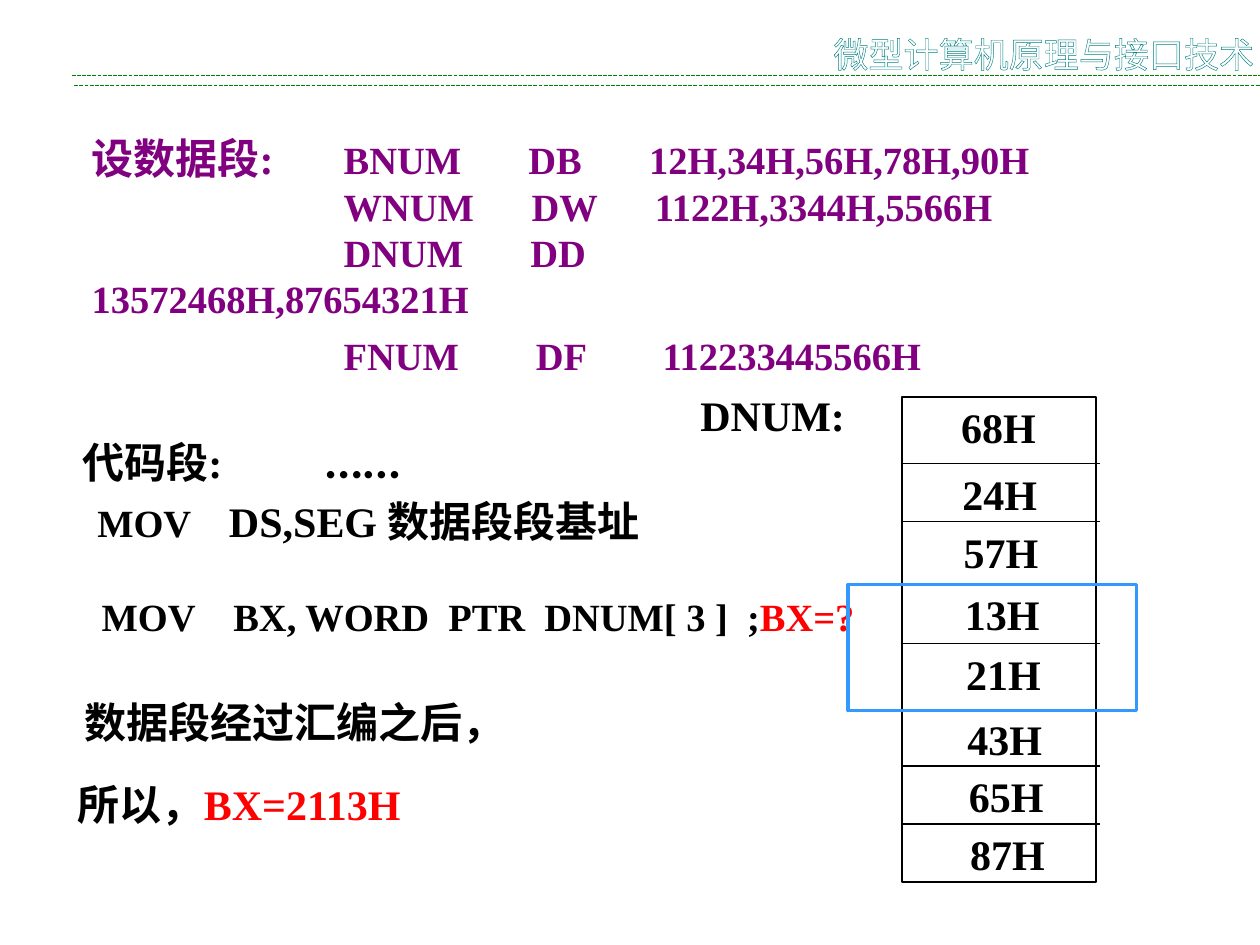
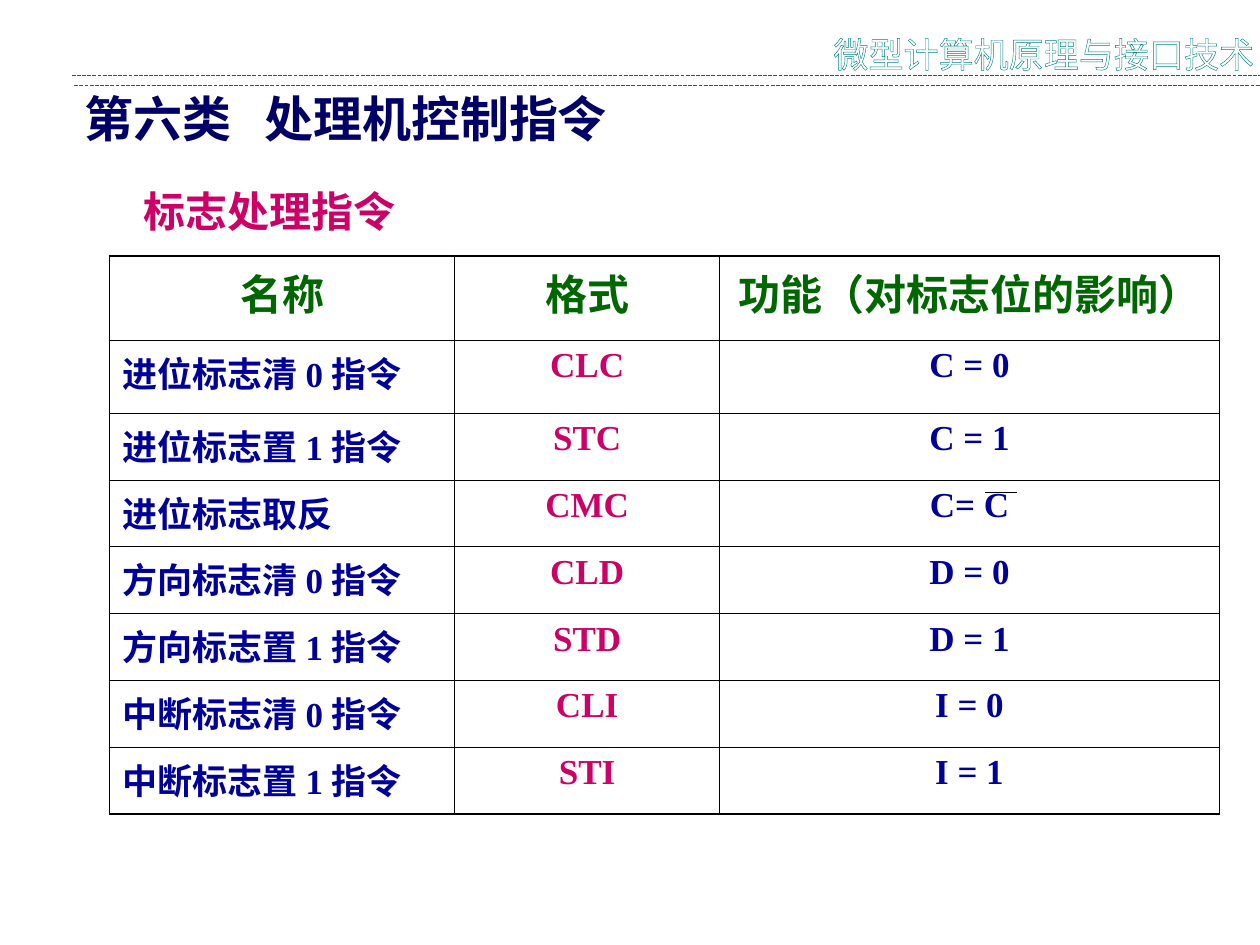
import pptx
import pptx.dml.color
import pptx.enum.dml
import pptx.enum.shapes
import pptx.enum.text
import pptx.oxml
import pptx.oxml.ns
import pptx.util
from pptx.util import Inches

LATIN, CJK = "Times New Roman", "Noto Sans CJK SC"
BLACK, WHITE, RED, PURPLE = "000000", "FFFFFF", "FF0000", "800080"
GREEN, TEAL, BRIGHT_BLUE = "008000", "008080", "3399FF"
NAVY, BLUE, MAGENTA, DARK_GREEN = "000066", "000099", "CC0066", "006600"
CENTER = pptx.enum.text.PP_ALIGN.CENTER
COURSE = "微型计算机原理与接口技术"

DATA_LINES = [
    "设数据段:\tBNUM       DB       12H,34H,56H,78H,90H",
    "\t\tWNUM      DW      1122H,3344H,5566H",
    "\t\tDNUM       DD       13572468H,87654321H",
    "\t\tFNUM        DF        112233445566H",
]
CODE_TABS = (1, 2)
MEMORY_BYTES = ["68H", "24H", "57H", "13H", "21H", "43H", "65H", "87H"]
MEMORY_EDGES = [0, 0.53, 0.99, 1.48, 1.96, 2.47, 2.93, 3.39]
FLAG_HEADER = ["名称", "格式", "功能（对标志位的影响）"]
FLAG_ROWS = [
    ["进位标志清 0 指令", "CLC", "C = 0"],
    ["进位标志置 1 指令", "STC", "C = 1"],
    ["进位标志取反", "CMC", "C= C"],
    ["方向标志清 0 指令", "CLD", "D = 0"],
    ["方向标志置 1 指令", "STD", "D = 1"],
    ["中断标志清 0 指令", "CLI", "I = 0"],
    ["中断标志置 1 指令", "STI", "I = 1"],
]


def rgb(value):
    return pptx.dml.color.RGBColor.from_string(value)


def line_xml(tag, color, points):
    return pptx.oxml.parse_xml(
        f'<a:{tag} {pptx.oxml.ns.nsdecls("a")} w="{int(points * 12700)}">'
        f'<a:solidFill><a:srgbClr val="{color}"/></a:solidFill></a:{tag}>')


def set_tabs(paragraph, positions):
    stops = "".join(f'<a:tab pos="{Inches(position)}" algn="l"/>'
                    for position in positions)
    paragraph._p.get_or_add_pPr().append(pptx.oxml.parse_xml(
        f'<a:tabLst {pptx.oxml.ns.nsdecls("a")}>{stops}</a:tabLst>'))


def format_run(run, size, color, bold=True, latin=LATIN):
    run.font.size = pptx.util.Pt(size)
    run.font.bold = bold
    run.font.name = latin
    run.font.color.rgb = rgb(color)
    east_asian = pptx.oxml.parse_xml(
        f'<a:ea {pptx.oxml.ns.nsdecls("a")} typeface="{CJK}"/>')
    run.font._element.find(pptx.oxml.ns.qn("a:latin")).addnext(east_asian)


def add_text(slide, box, paragraphs, wrap=False, grow=True, tabs=()):
    """Each paragraph is a list of (text, size, color[, bold, font]) runs."""
    frame = slide.shapes.add_textbox(*map(Inches, box)).text_frame
    frame.word_wrap = wrap
    if grow:
        frame.auto_size = pptx.enum.text.MSO_AUTO_SIZE.SHAPE_TO_FIT_TEXT
    for index, runs in enumerate(paragraphs):
        paragraph = frame.paragraphs[0] if index == 0 else frame.add_paragraph()
        if tabs:
            set_tabs(paragraph, tabs)
        for text, *style in runs:
            run = paragraph.add_run()
            run.text = text
            format_run(run, *style)
    return frame


def add_line(slide, start, end, color, dash=None):
    connector = slide.shapes.add_connector(
        pptx.enum.shapes.MSO_CONNECTOR.STRAIGHT, *map(Inches, start + end))
    connector.line.color.rgb = rgb(color)
    connector.line.width = pptx.util.Pt(0.75)
    if dash:
        connector.line.dash_style = dash
    connector._element.spPr.append(
        pptx.oxml.parse_xml(f'<a:effectLst {pptx.oxml.ns.nsdecls("a")}/>'))


def add_frame(slide, box, color, points):
    """Draw an unfilled rectangle."""
    shape = slide.shapes.add_shape(
        pptx.enum.shapes.MSO_SHAPE.RECTANGLE, *map(Inches, box))
    shape.shadow.inherit = False
    shape.fill.background()
    shape.line.color.rgb = rgb(color)
    shape.line.width = pptx.util.Pt(points)


def add_header(slide):
    for left, top in [(0.59, 0.68), (0.57, 0.6)]:
        add_line(slide, (left, top), (10, top), GREEN,
                 pptx.enum.dml.MSO_LINE.SQUARE_DOT)
    frame = add_text(slide, (6.58, 0.21, 3.41, 0.38),
                     [[(COURSE, 20, WHITE, False, CJK)]], grow=False)
    frame.margin_left = frame.margin_right = 0
    paragraph = frame.paragraphs[0]
    paragraph.alignment = CENTER
    paragraph.runs[0].font._element.insert(0, line_xml("ln", TEAL, 0.75))


def add_data_segment(slide, box):
    label, code = DATA_LINES[0].split("\t")
    first = [(label + "\t", 24, PURPLE), (code, 22, PURPLE)]
    frame = add_text(slide, box,
                     [first] + [[(line, 22, PURPLE)] for line in DATA_LINES[1:]],
                     tabs=CODE_TABS)
    frame.paragraphs[-1].space_before = pptx.util.Pt(6)


def add_code_segment(slide, box):
    frame = add_text(slide, box, [
        [(" 代码段:\t", 24, BLACK), ("……", 28, BLACK, True, "Lato")],
        [("  ", 28, BLACK), ("MOV    ", 22, BLACK),
         ("DS,SEG 数据段段基址", 24, BLACK)],
        [("   MOV    BX, WORD  PTR  DNUM[ 3 ]  ;", 22, BLACK),
         ("BX=?", 22, RED)],
    ], tabs=CODE_TABS)
    frame.paragraphs[-1].space_before = pptx.util.Pt(26)


def add_memory(slide, box):
    """Draw the memory column; the two bytes read as a word are framed."""
    left, top, width, height = box
    add_text(slide, (left - 1.7, top - 0.11, 1.35, 0.5),
             [[("DNUM:", 24, BLACK)]])
    add_frame(slide, box, BLACK, 0.75)
    for index, (edge, value) in enumerate(zip(MEMORY_EDGES, MEMORY_BYTES)):
        y = top + edge
        add_text(slide, (left + 0.37 + 0.01 * index, y - 0.01, 0.79, 0.5),
                 [[(value, 24, BLACK)]])
        if index not in (0, 3, 5):
            add_line(slide, (left, y), (left + width + 0.03, y), BLACK)
    add_frame(slide, (left - 0.43, top + MEMORY_EDGES[3] + 0.01, 2.29, 1),
              BRIGHT_BLUE, 2)


def add_flag_table(slide, box, column_widths, row_heights):
    rows = [FLAG_HEADER] + FLAG_ROWS
    last_row, last_column = len(rows) - 1, len(column_widths) - 1
    table = slide.shapes.add_table(
        len(rows), len(column_widths), *map(Inches, box)).table
    table.first_row = table.horz_banding = False
    for column, width in zip(table.columns, column_widths):
        column.width = Inches(width)
    for row, height in zip(table.rows, row_heights):
        row.height = Inches(height)
    for r, values in enumerate(rows):
        for c, value in enumerate(values):
            cell = table.cell(r, c)
            cell.text_frame.text = value
            paragraph = cell.text_frame.paragraphs[0]
            if r == 0 or c > 0:
                paragraph.alignment = CENTER
            size = 24 if r == 0 else 20
            color = DARK_GREEN if r == 0 else MAGENTA if c == 1 else BLUE
            format_run(paragraph.runs[0], size, color)
            outer = {"lnL": c == 0, "lnR": c == last_column,
                     "lnT": r == 0, "lnB": r == last_row}
            properties = cell._tc.get_or_add_tcPr()
            for tag, is_outer in outer.items():
                properties.append(line_xml(tag, BLACK, 1.08 if is_outer else 0.45))
            cell.fill.background()
    left, top = box[:2]
    add_line(slide, (left + 6.95, top + 1.88), (left + 7.2, top + 1.88), BLACK)


def build_memory_slide(slide):
    add_header(slide)
    add_code_segment(slide, (0.48, 3.36, 6.41, 1.77))
    add_text(slide, (0.57, 5.48, 3.53, 0.5),
             [[("数据段经过汇编之后，", 24, BLACK)]])
    add_text(slide, (0.52, 6.13, 2.86, 0.5),
             [[("所以，", 24, BLACK), ("BX=2113H", 24, RED)]])
    add_memory(slide, (7.16, 3.15, 1.54, 3.85))
    add_data_segment(slide, (0.63, 1, 7.64, 1.77))


def build_flag_slide(slide):
    add_header(slide)
    add_text(slide, (0.57, 0.65, 5.92, 0.57),
             [[("第六类\t处理机控制指令", 28, NAVY)]], wrap=True, tabs=(1.43,))
    add_flag_table(slide, (0.87, 2.03, 8.81, 4.43),
                   [2.74, 2.1, 3.97], [0.67, 0.58] + [0.53] * 6)
    add_text(slide, (1.04, 1.42, 2.2, 0.5), [[("标志处理指令", 24, MAGENTA)]])


def main():
    presentation = pptx.Presentation()
    presentation.slide_width = Inches(10)
    presentation.slide_height = Inches(7.5)
    for build in (build_memory_slide, build_flag_slide):
        build(presentation.slides.add_slide(presentation.slide_layouts[6]))
    presentation.save("out.pptx")


if __name__ == "__main__":
    main()
